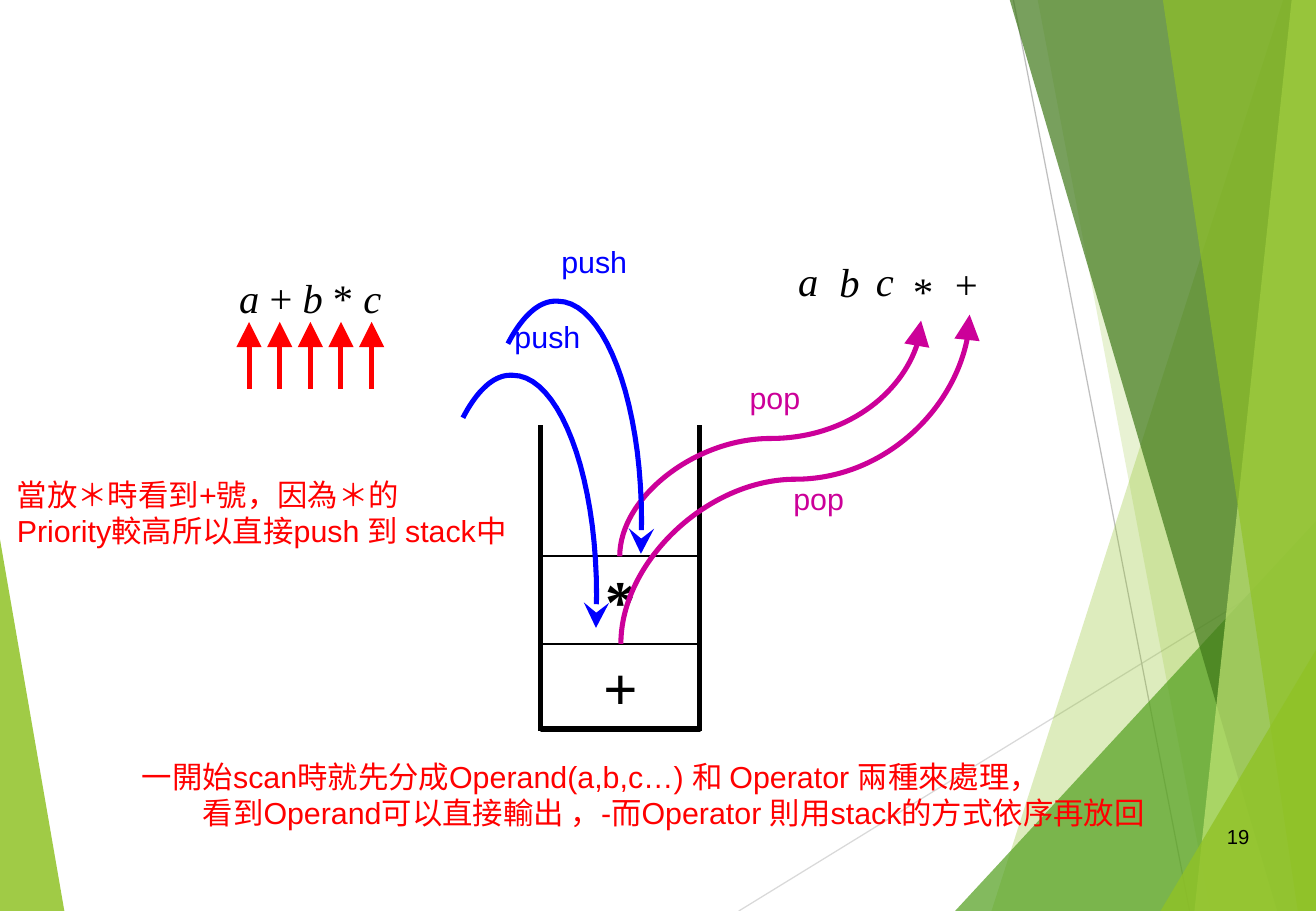
from lxml.etree import SubElement
from pptx import Presentation
from pptx.dml.color import RGBColor
from pptx.enum.shapes import MSO_CONNECTOR, MSO_SHAPE
from pptx.enum.text import MSO_ANCHOR, PP_ALIGN
from pptx.oxml.ns import qn
from pptx.util import Inches, Pt

# The grid has ten columns and ten rows to the inch.
COLS, ROWS = 108.3, 75

BLACK = RGBColor(0x00, 0x00, 0x00)
RED = RGBColor(0xFF, 0x00, 0x00)
BLUE = RGBColor(0x00, 0x00, 0xFF)
MAGENTA = RGBColor(0xCC, 0x00, 0x99)
LIME = RGBColor(0x90, 0xC2, 0x26)
GREEN = RGBColor(0x54, 0xA0, 0x21)
DARK_GREEN = RGBColor(0x3F, 0x78, 0x19)
PALE_GREEN = RGBColor(0xC0, 0xE4, 0x74)
LIGHT_GRAY = RGBColor(0xD9, 0xD9, 0xD9)
GRAY = RGBColor(0xBF, 0xBF, 0xBF)
SANS, SERIF = "Arial", "Times New Roman"

# Background facets: colour, opacity in percent, corners
LEFT_FACET = (LIME, 85, [(0, 44.4), (5.3, ROWS), (0, ROWS)])
RIGHT_FACETS = [
    (LIME, 30, [(105.6, 0), (81.6, ROWS), (COLS, ROWS), (COLS, 0)]),
    (LIME, 20, [(85.4, 0), (99.6, ROWS), (COLS, ROWS), (COLS, 0)]),
    (GREEN, 72, [(78.6, ROWS), (COLS, 42.9), (COLS, ROWS)]),
    (DARK_GREEN, 70, [(83.1, 0), (105.1, ROWS), (COLS, ROWS), (COLS, 0)]),
    (PALE_GREEN, 70, [(106.3, 0), (98.3, ROWS), (COLS, ROWS), (COLS, 0)]),
    (LIME, 65, [(95.7, 0), (106.8, ROWS), (COLS, ROWS), (COLS, 0)]),
    (LIME, 80, [(95.5, ROWS), (COLS, 53.5), (COLS, ROWS)]),
]
BACK_LINES = [(LIGHT_GRAY, (60.8, ROWS), (COLS, 45.8)), (GRAY, (83.4, 0), (97.9, ROWS))]

INFIX = [("a", True), (" + ", False), ("b", True), (" * ", False), ("c", True)]
POSTFIX = [("a", 64.7, 20.6), ("b", 68.1, 20.7), ("c", 71.1, 20.6),
           ("*", 74, 21.4), ("+", 77.4, 20.8)]
SCAN_COUNT, SCAN_LEFT, SCAN_STEP = 5, 20.5, 2.52

STACK = ["+", "*"]  # bottom first
STACK_LEFT, STACK_RIGHT, STACK_TOP, STACK_BOTTOM, CELL = 44.5, 57.6, 35, 60.1, 7.2

# Start and end of each curve, box of its label
POPS = [((51, 45.8), (75.8, 26.4), (60.7, 30.7, 8.2, 4)),
        ((51.1, 53), (79.8, 25.9), (64.3, 39, 7.8, 4))]
PUSHES = [((38.1, 34.4), (38.9, 25.7, 12.3, 4)),
          ((41.8, 28.3), (43.8, 19.5, 10.2, 4))]
# Bezier pieces of a push, measured from its start
PUSH_CURVES = [[(0, 0), (1.2, -2.3), (2.6, -3.6), (4.1, -3.5)],
               [(4.1, -3.5), (7.9, -3.5), (11, 4.6), (11, 14.6)]]
PUSH_TIP = (10.95, 17.3)

SCAN_NOTE = ["一開始scan時就先分成Operand(a,b,c…) 和 Operator 兩種來處理，",
             "看到Operand可以直接輸出 ，-而Operator 則用stack的方式依序再放回"]
PRIORITY_NOTE = ["當放＊時看到+號，因為＊的", "Priority較高所以直接push 到 stack中"]


def grid(*values):
    return [Inches(v / 10) for v in values]


def write(sp, lines, size=18, font=SANS, color=BLACK, bold=False, italic=False,
          align=PP_ALIGN.LEFT, anchor=MSO_ANCHOR.TOP, last_indent=0):
    """Fill a shape with lines, each a string or a list of (text, italic) runs."""
    tf = sp.text_frame
    tf.word_wrap = True
    tf.vertical_anchor = anchor
    for i, line in enumerate(lines):
        p = tf.paragraphs[0] if i == 0 else tf.add_paragraph()
        p.alignment = align
        for words, slanted in [(line, italic)] if isinstance(line, str) else line:
            r = p.add_run()
            r.text = words
            r.font.size, r.font.name = Pt(size), font
            r.font.bold, r.font.italic = bold, slanted
            r.font.color.rgb = color
    if last_indent:
        pPr = p._p.get_or_add_pPr()
        pPr.set("marL", "0")
        pPr.set("indent", str(Inches(last_indent / 10)))


def label(shapes, box, lines, **fmt):
    write(shapes.add_textbox(*grid(*box)), lines, **fmt)


def stroke(sp, color, width, head=None):
    sp.line.color.rgb = color
    sp.line.width = Pt(width)
    if head:
        SubElement(sp.line._get_or_add_ln(), qn("a:tailEnd"), type=head, w="lg", len="lg")


def connect(shapes, start, end, color, width=3, head=None, kind=MSO_CONNECTOR.STRAIGHT):
    c = shapes.add_connector(kind, *grid(*start, *end))
    stroke(c, color, width, head)
    SubElement(c._element.spPr, qn("a:effectLst"))
    return c


def rising_curve(shapes, start, end, color):
    """S-curve that leaves and arrives vertically: a level one turned by 270 degrees."""
    (x1, y1), (x2, y2) = start, end
    cx, cy = (x1 + x2) / 2, (y1 + y2) / 2
    w, h = y1 - y2, x2 - x1
    c = connect(shapes, (cx - w / 2, cy - h / 2), (cx + w / 2, cy + h / 2), color,
                head="triangle", kind=MSO_CONNECTOR.CURVE)
    c._element.spPr.find(qn("a:xfrm")).set("rot", str(270 * 60000))


def outline(shapes, points, close):
    points = [grid(*pt) for pt in points]
    fb = shapes.build_freeform(*points[0])
    fb.add_line_segments(points[1:], close=close)
    sp = fb.convert_to_shape()
    sp.shadow.inherit = False
    return sp


def facet(shapes, color, opacity, corners):
    sp = outline(shapes, corners, True)
    sp.fill.solid()
    sp.fill.fore_color.rgb = color
    sp.line.fill.background()
    clr = sp._element.spPr.find(qn("a:solidFill"))[0]
    SubElement(clr, qn("a:alpha"), val=str(opacity * 1000))


def bezier(curve, t):
    weights = ((1 - t) ** 3, 3 * t * (1 - t) ** 2, 3 * t * t * (1 - t), t ** 3)
    return tuple(sum(w * v for w, v in zip(weights, axis)) for axis in zip(*curve))


def push_arrow(shapes, start, steps=20):
    path = [bezier(c, i / steps) for c in PUSH_CURVES for i in range(steps)]
    path += [PUSH_CURVES[-1][-1], PUSH_TIP]
    sp = outline(shapes, [(start[0] + x, start[1] + y) for x, y in path], False)
    sp.fill.background()
    stroke(sp, BLUE, 3, "stealth")


def draw_background(shapes):
    facet(shapes, *LEFT_FACET)
    for color, start, end in BACK_LINES:
        connect(shapes, start, end, color, 0.75)
    for spec_row in RIGHT_FACETS:
        facet(shapes, *spec_row)


def draw_expressions(shapes):
    label(shapes, (18.7, 22, 14.5, 5), [INFIX], size=24, font=SERIF)
    for i in range(SCAN_COUNT):
        x = SCAN_LEFT + i * SCAN_STEP
        connect(shapes, (x, 32), (x, 26.5), RED, head="triangle")
    for symbol, left, top in POSTFIX:
        label(shapes, (left, top, 4, 5), [symbol], size=24, font=SERIF, italic=True)


def draw_stack(shapes):
    for x in (STACK_LEFT, STACK_RIGHT):
        connect(shapes, (x, STACK_TOP), (x, STACK_BOTTOM), BLACK)
    connect(shapes, (STACK_LEFT - 0.2, 60), (STACK_RIGHT + 0.2, 60), BLACK)
    for i, symbol in enumerate(STACK):
        top = 53 - i * CELL
        sp = shapes.add_shape(MSO_SHAPE.RECTANGLE, *grid(
            STACK_LEFT, top, STACK_RIGHT - STACK_LEFT, CELL))
        sp.shadow.inherit = False
        sp.fill.background()
        stroke(sp, BLACK, 1)
        write(sp, [symbol], size=36, font=SERIF, bold=True,
              align=PP_ALIGN.CENTER, anchor=MSO_ANCHOR.TOP)


def main():
    prs = Presentation()
    prs.slide_width, prs.slide_height = grid(COLS, ROWS)
    shapes = prs.slides.add_slide(prs.slide_layouts[6]).shapes
    draw_background(shapes)
    label(shapes, (97.7, 66.9, 6.1, 4), ["19"], size=12,
          align=PP_ALIGN.RIGHT, anchor=MSO_ANCHOR.MIDDLE)
    draw_expressions(shapes)
    draw_stack(shapes)
    for start, end, box in POPS:
        rising_curve(shapes, start, end, MAGENTA)
        label(shapes, box, ["pop"], color=MAGENTA)
    for start, box in PUSHES:
        push_arrow(shapes, start)
        label(shapes, box, ["push"], color=BLUE, align=PP_ALIGN.CENTER)
    label(shapes, (10.7, 61.9, 85.5, 7.1), SCAN_NOTE, color=RED, last_indent=5)
    label(shapes, (0.4, 38.7, 42.8, 7.1), PRIORITY_NOTE, color=RED)
    prs.save("out.pptx")


if __name__ == "__main__":
    main()
